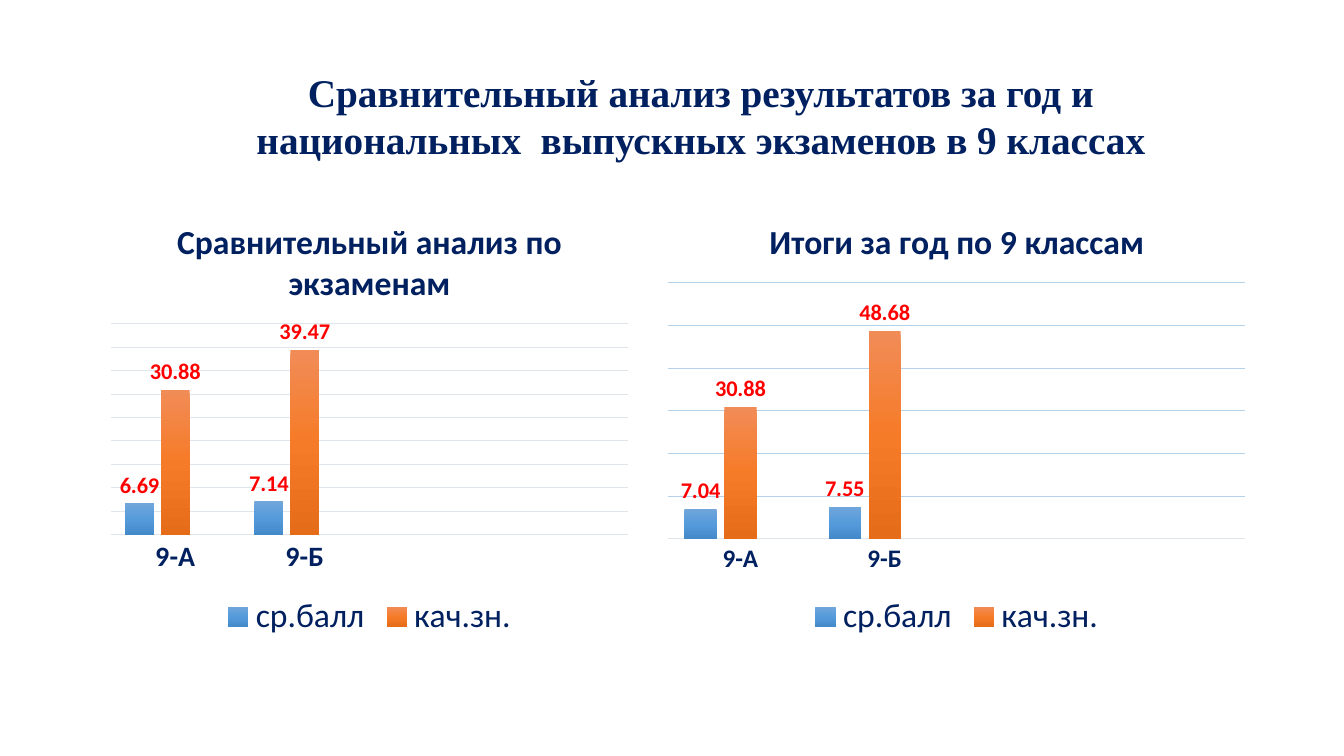
from lxml import etree
from pptx import Presentation
from pptx.chart.data import CategoryChartData
from pptx.dml.color import RGBColor
from pptx.enum.chart import (XL_CHART_TYPE, XL_LABEL_POSITION,
                             XL_LEGEND_POSITION, XL_TICK_MARK)
from pptx.enum.text import MSO_ANCHOR, MSO_AUTO_SIZE, PP_ALIGN
from pptx.oxml.ns import qn
from pptx.util import Inches, Pt

COLUMN = XL_CHART_TYPE.COLUMN_CLUSTERED
OUTSIDE = XL_LABEL_POSITION.OUTSIDE_END
BOTTOM = XL_LEGEND_POSITION.BOTTOM
NO_TICK = XL_TICK_MARK.NONE
MIDDLE = MSO_ANCHOR.MIDDLE
NO_FIT = MSO_AUTO_SIZE.NONE
CENTER = PP_ALIGN.CENTER

HEX = {"navy": "002060", "red": "FF0000", "pale": "E0E5EB", "sky": "B5D2EC"}
SHADES = [("71A6DB", "559BDB", "448ACA"),
          ("F18C57", "F67B28", "E56C19"),
          ("AFAFAF", "A5A5A5", "939393")]
GROUPS = ["9-А", "9-Б", "", ""]
NAMES = ["ср.балл", "кач.зн.", "Series 3"]

PLOTS = [
    {"title": "Сравнительный анализ по экзаменам", "left": 0.99, "width": 5.35,
     "rows": [(6.69, 7.14), (30.88, 39.47), ()],
     "top": 45, "step": 5, "grid": "pale", "size": 20},
    {"title": "Итоги за год по 9 классам", "left": 6.51, "width": 5.96,
     "rows": [(7.04, 7.55), (30.88, 48.68), ()],
     "top": 60, "step": 10, "grid": "sky", "size": 18},
]


class Deck:
    def __init__(self):
        self.file = Presentation()
        self.file.slide_width = Inches(13.33)
        self.file.slide_height = Inches(7.5)
        self.slide = self.file.slides.add_slide(self.file.slide_layouts[5])

    def style(self, font, size, color="navy", bold=True, name="Calibri"):
        look = {"size": Pt(size), "bold": bold, "name": name}
        for key, value in look.items():
            setattr(font, key, value)
        font.color.rgb = RGBColor.from_string(HEX[color])

    def line(self, form, color):
        form.line.width = Pt(0.75)
        form.line.color.rgb = RGBColor.from_string(HEX[color])

    def title(self, text, left, top, width, height):
        box = self.slide.shapes.title
        place = {"left": left, "top": top, "width": width, "height": height}
        for key, value in place.items():
            setattr(box, key, Inches(value))
        frame = box.text_frame
        look = {"text": text, "word_wrap": True, "auto_size": NO_FIT,
                "vertical_anchor": MIDDLE}
        for key, value in look.items():
            setattr(frame, key, value)
        para = frame.paragraphs[0]
        para.alignment = CENTER
        self.style(para.runs[0].font, 28, name="Times New Roman")

    def shade(self, bar, colors):
        """Fill a series with a three-stop gradient from top to bottom."""
        fill = bar.format.fill
        fill.gradient()
        fill.gradient_angle = 270
        stops = bar.format.fill._xPr.find(".//" + qn("a:gsLst"))
        for stop in list(stops):
            stops.remove(stop)
        for spot, color in enumerate(colors):
            stop = etree.SubElement(stops, qn("a:gs"), pos=str(spot * 50000))
            etree.SubElement(stop, qn("a:srgbClr"), val=color)

    def legend(self, chart, hide):
        """Put the legend below the plot, without the entry numbered hide."""
        chart.has_legend = True
        legend = chart.legend
        legend.position = BOTTOM
        legend.include_in_layout = False
        self.style(legend.font, 24, bold=False)
        entry = etree.Element(qn("c:legendEntry"))
        etree.SubElement(entry, qn("c:idx"), val=str(hide))
        etree.SubElement(entry, qn("c:delete"), val="1")
        legend._element.find(qn("c:legendPos")).addnext(entry)

    def axes(self, chart, top, step, grid, size):
        base = chart.category_axis
        base.major_tick_mark = base.minor_tick_mark = NO_TICK
        self.style(base.tick_labels.font, size)
        self.line(base.format, "pale")
        scale = chart.value_axis
        look = {"minimum_scale": 0, "maximum_scale": top, "major_unit": step,
                "has_major_gridlines": True, "visible": False}
        for key, value in look.items():
            setattr(scale, key, value)
        self.line(scale.major_gridlines.format, grid)

    def chart(self, title, left, width, rows, **axes):
        data = CategoryChartData()
        data.categories = GROUPS
        for name, row in zip(NAMES, rows):
            blanks = [None] * (len(GROUPS) - len(row))
            data.add_series(name, [*row, *blanks])
        chart = self.slide.shapes.add_chart(
            COLUMN, Inches(left), Inches(1.97), Inches(width), Inches(4.42),
            data).chart
        chart.font.size = Pt(10)
        chart.font.name = "Calibri"
        chart.has_title = True
        head = chart.chart_title
        head.include_in_layout = False
        head.text_frame.text = title
        self.style(head.text_frame.paragraphs[0].runs[0].font, 24)
        plot = chart.plots[0]
        look = {"gap_width": 100, "overlap": -24, "vary_by_categories": False}
        for key, value in look.items():
            setattr(plot, key, value)
        for bar, colors, row in zip(plot.series, SHADES, rows):
            self.shade(bar, colors)
            if row:
                labels = bar.data_labels
                labels.show_value = True
                labels.position = OUTSIDE
                self.style(labels.font, 16, "red")
        self.axes(chart, **axes)
        self.legend(chart, hide=2)


def main():
    deck = Deck()
    for plot in PLOTS:
        deck.chart(**plot)
    deck.title("Сравнительный анализ результатов за год и "
               "национальных  выпускных экзаменов в 9 классах",
               2.23, 0.62, 9.44, 1.04)
    deck.file.save("out.pptx")


if __name__ == "__main__":
    main()
